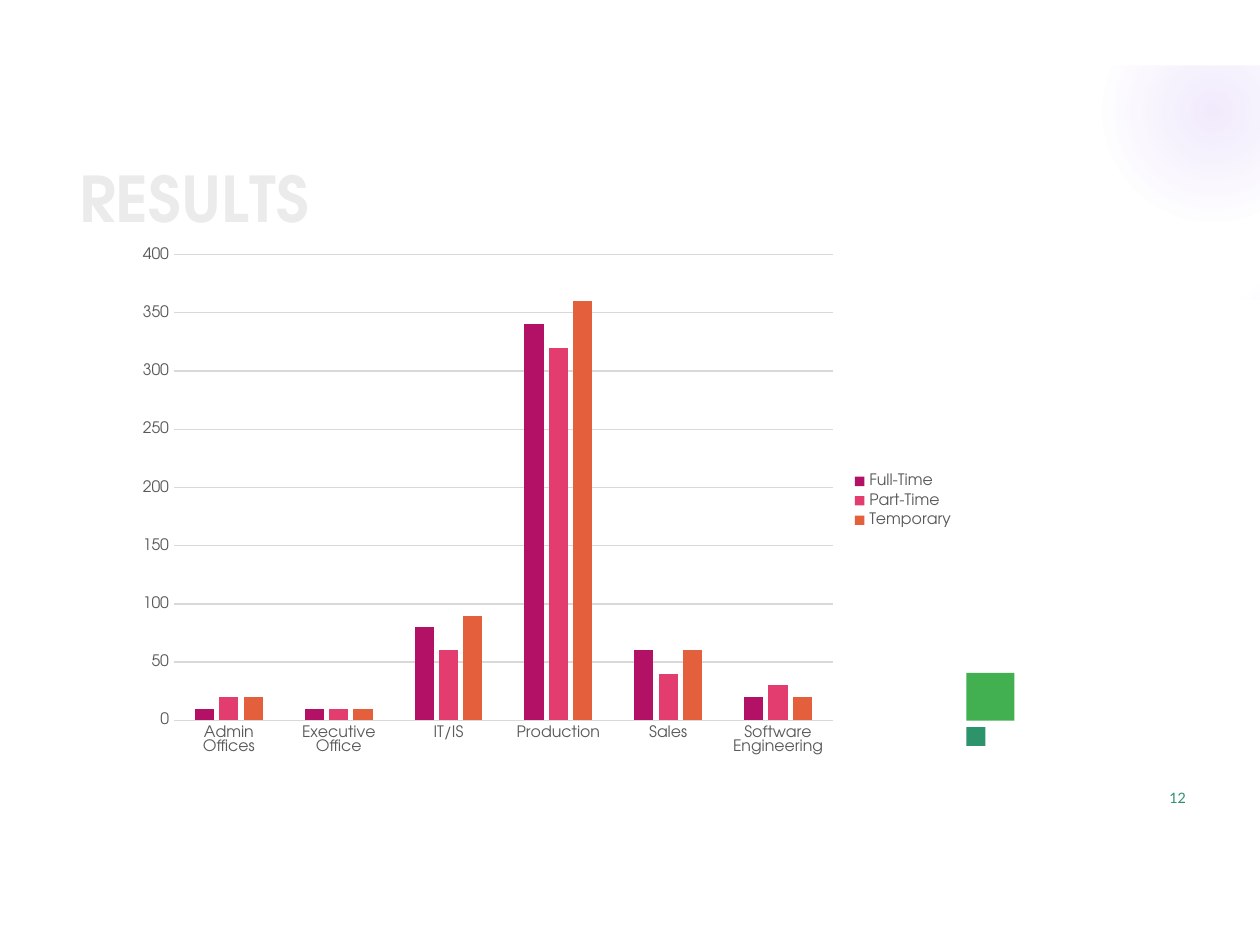
from dataclasses import dataclass

from pptx import Presentation
from pptx.chart.data import CategoryChartData
from pptx.dml.color import RGBColor
from pptx.enum import chart as ch, shapes, text
from pptx.oxml import parse_xml
from pptx.oxml.ns import nsdecls, qn
from pptx.util import Inches, Pt


@dataclass(frozen=True)
class Theme:
    heading: str = "TeX Gyre Adventor"
    number: str = "Lato"
    white: str = "FFFFFF"
    glow: str = "9B6BF2"
    title: str = "EBEBEB"
    green: str = "42AF51"
    teal: str = "2D936B"
    label: str = "595959"
    grid: str = "D9D9D9"
    series: tuple = ("B31166", "E33D6F", "E45F3C")
    title_size: float = 36
    number_size: float = 8.2
    label_size: float = 9


class SlideBuilder:
    def __init__(self, slide, theme):
        self.s = slide
        self.theme = theme

    def font(self, font, **fmt):
        color = fmt.pop("color", None)
        for name, value in fmt.items():
            setattr(font, name, value)
        if color:
            font.color.rgb = RGBColor.from_string(color)

    def shape(self, kind, x, y, w, h, color):
        sp = self.s.shapes.add_shape(kind, *map(Inches, (x, y, w, h)))
        sp.shadow.inherit = False
        sp.fill.solid()
        sp.fill.fore_color.rgb = RGBColor.from_string(color)
        sp.line.fill.background()
        return sp

    def rect(self, x, y, w, h, color):
        return self.shape(shapes.MSO_SHAPE.RECTANGLE, x, y, w, h, color)

    def glow(self, x, y, size, stops):
        """Circle whose colour fades outwards; stops are (position %, opacity %)."""
        color = self.theme.glow
        sp = self.shape(shapes.MSO_SHAPE.OVAL, x, y, size, size, color)
        gs = "".join(
            f'<a:gs pos="{pos * 1000}"><a:srgbClr val="{color}">'
            f'<a:alpha val="{alpha * 1000}"/></a:srgbClr></a:gs>'
            for pos, alpha in stops)
        grad = parse_xml(
            f'<a:gradFill {nsdecls("a")}><a:gsLst>{gs}</a:gsLst><a:path path="circle">'
            '<a:fillToRect l="50000" t="50000" r="50000" b="50000"/></a:path></a:gradFill>')
        spPr = sp._element.spPr
        spPr.replace(spPr.find(qn("a:solidFill")), grad)

    def text(self, x, y, w, h, runs, anchor, indent, **fmt):
        """One line of text; runs are (text, letter spacing in points)."""
        tf = self.s.shapes.add_textbox(*map(Inches, (x, y, w, h))).text_frame
        frame = {"word_wrap": False, "vertical_anchor": anchor,
                 "margin_left": Inches(indent), "margin_top": Inches(0.01),
                 "margin_right": 0, "margin_bottom": 0}
        for name, value in frame.items():
            setattr(tf, name, value)
        p = tf.paragraphs[0]
        for content, spacing in runs:
            r = p.add_run()
            r.text = content
            self.font(r.font, **fmt)
            r.font._element.set("spc", str(round(spacing * 100)))

    def column_chart(self, x, y, w, h, categories, series):
        t = self.theme
        data = CategoryChartData()
        data.categories = categories
        for name, values in series.items():
            data.add_series(name, values)
        chart = self.s.shapes.add_chart(
            ch.XL_CHART_TYPE.COLUMN_CLUSTERED, *map(Inches, (x, y, w, h)), data).chart
        label = {"name": t.heading, "size": Pt(t.label_size), "color": t.label}
        self.font(chart.font, **label)
        chart.has_title = False

        # Columns
        plot = chart.plots[0]
        for name, value in {"gap_width": 219, "overlap": -27,
                            "vary_by_categories": False}.items():
            setattr(plot, name, value)
        for ser, color in zip(plot.series, t.series):
            ser.format.fill.solid()
            ser.format.fill.fore_color.rgb = RGBColor.from_string(color)

        # Axes
        cat, val = chart.category_axis, chart.value_axis
        for axis in (cat, val):
            axis.major_tick_mark = axis.minor_tick_mark = ch.XL_TICK_MARK.NONE
            self.font(axis.tick_labels.font, **label)
        for name, value in {"minimum_scale": 0, "maximum_scale": 400, "major_unit": 50,
                            "has_major_gridlines": True}.items():
            setattr(val, name, value)
        val.format.line.fill.background()
        for line in (cat.format.line, val.major_gridlines.format.line):
            line.color.rgb = RGBColor.from_string(t.grid)
            line.width = Pt(0.75)

        # Legend
        chart.has_legend = True
        chart.legend.position = ch.XL_LEGEND_POSITION.RIGHT
        chart.legend.include_in_layout = False
        self.font(chart.legend.font, **label)


def main():
    prs = Presentation()
    prs.slide_width, prs.slide_height = Inches(10), Inches(7.5)
    t = Theme()
    b = SlideBuilder(prs.slides.add_slide(prs.slide_layouts[6]), t)

    # Soft glows, trimmed by the white panel and top margin
    b.glow(9.41, 1.83, 3.08, [(0, 7), (36, 6), (69, 0)])
    b.glow(8.75, 0.01, 1.75, [(0, 14), (36, 7), (73, 0)])
    b.rect(0.5, 2.38, 9.5, 5.12, t.white)
    b.rect(0, 0, 10, 0.52, t.white)

    # Accent squares
    b.rect(7.67, 5.34, 0.38, 0.38, t.green)
    b.rect(7.67, 5.77, 0.15, 0.15, t.teal)

    # Title and page number
    b.text(0.62, 1.25, 2, 0.62,
           [("R", 0), ("E", -0.3), ("S", 0.1), ("U", -0.2), ("L", -3), ("TS", 0)],
           text.MSO_ANCHOR.MIDDLE, 0.01,
           name=t.heading, size=Pt(t.title_size), bold=True, color=t.title)
    b.text(9.25, 6.25, 0.19, 0.14, [("12", 0.1)], text.MSO_ANCHOR.TOP, 0.03,
           name=t.number, size=Pt(t.number_size), color=t.teal)

    # Staff by department
    b.column_chart(
        1, 1.88, 6.67, 4.19,
        ["Admin Offices", "Executive Office", "IT/IS", "Production", "Sales",
         "Software Engineering"],
        {"Full-Time": [10, 10, 80, 340, 60, 20],
         "Part-Time": [20, 10, 60, 320, 40, 30],
         "Temporary": [20, 10, 90, 360, 60, 20]})

    prs.save("out.pptx")


if __name__ == "__main__":
    main()
